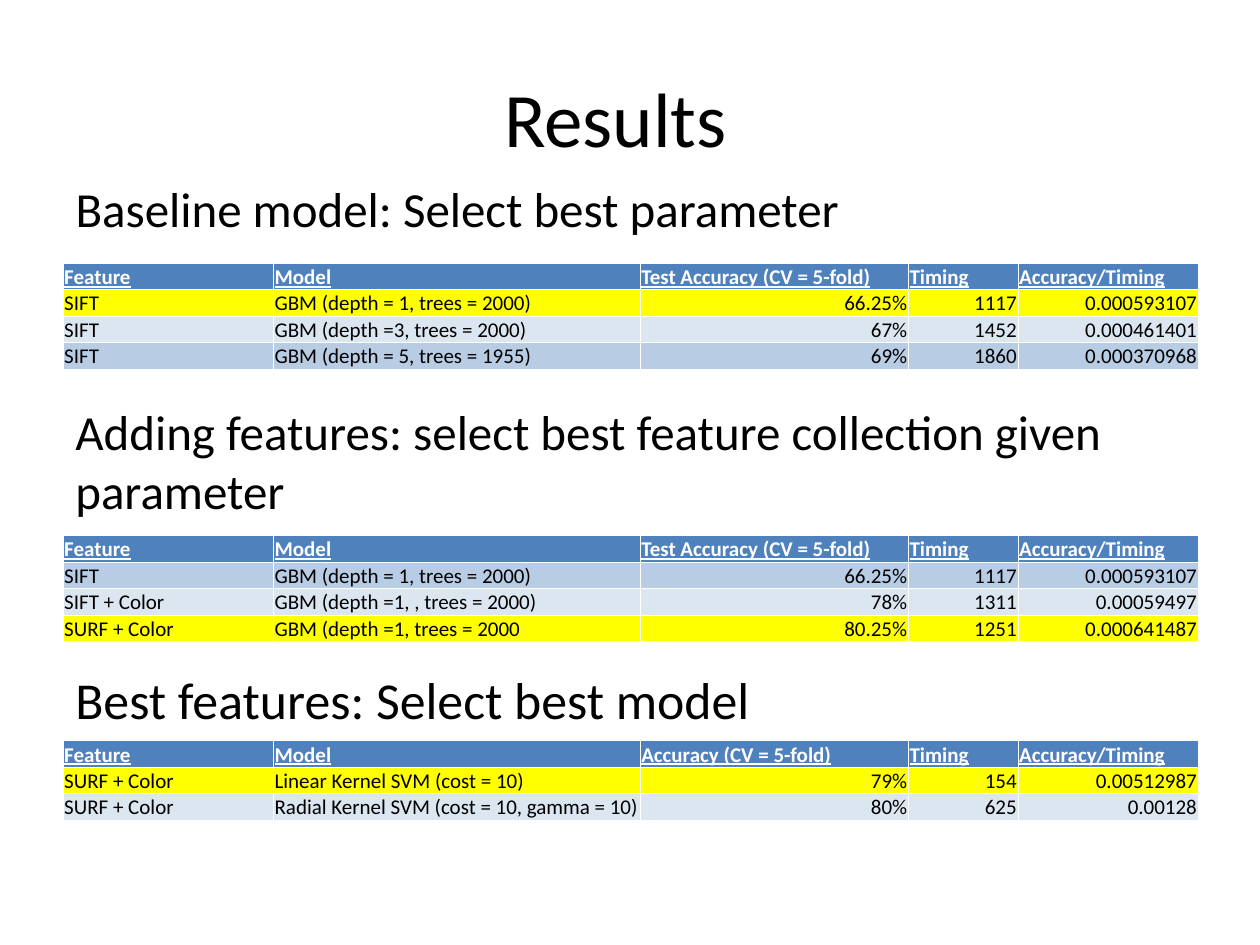
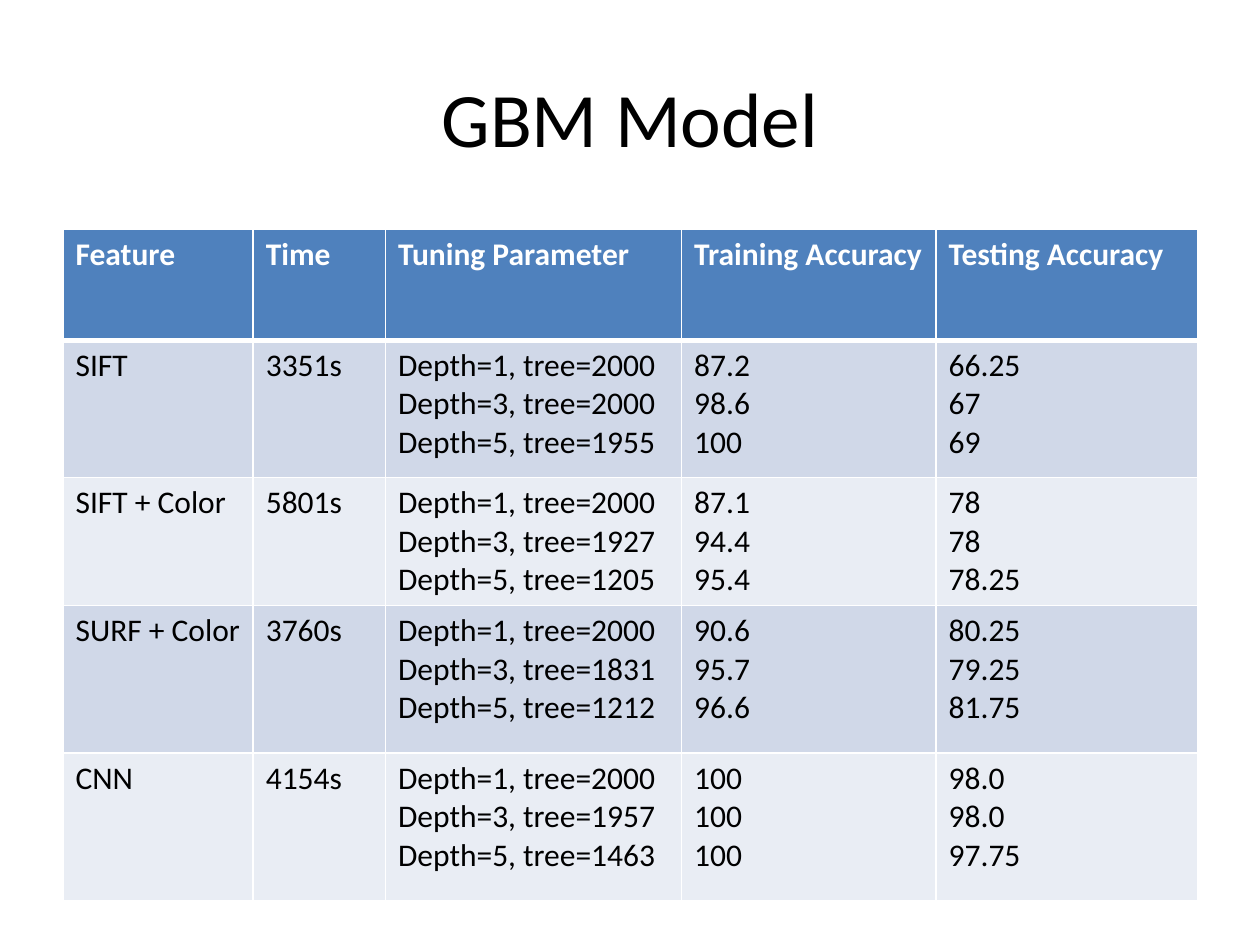
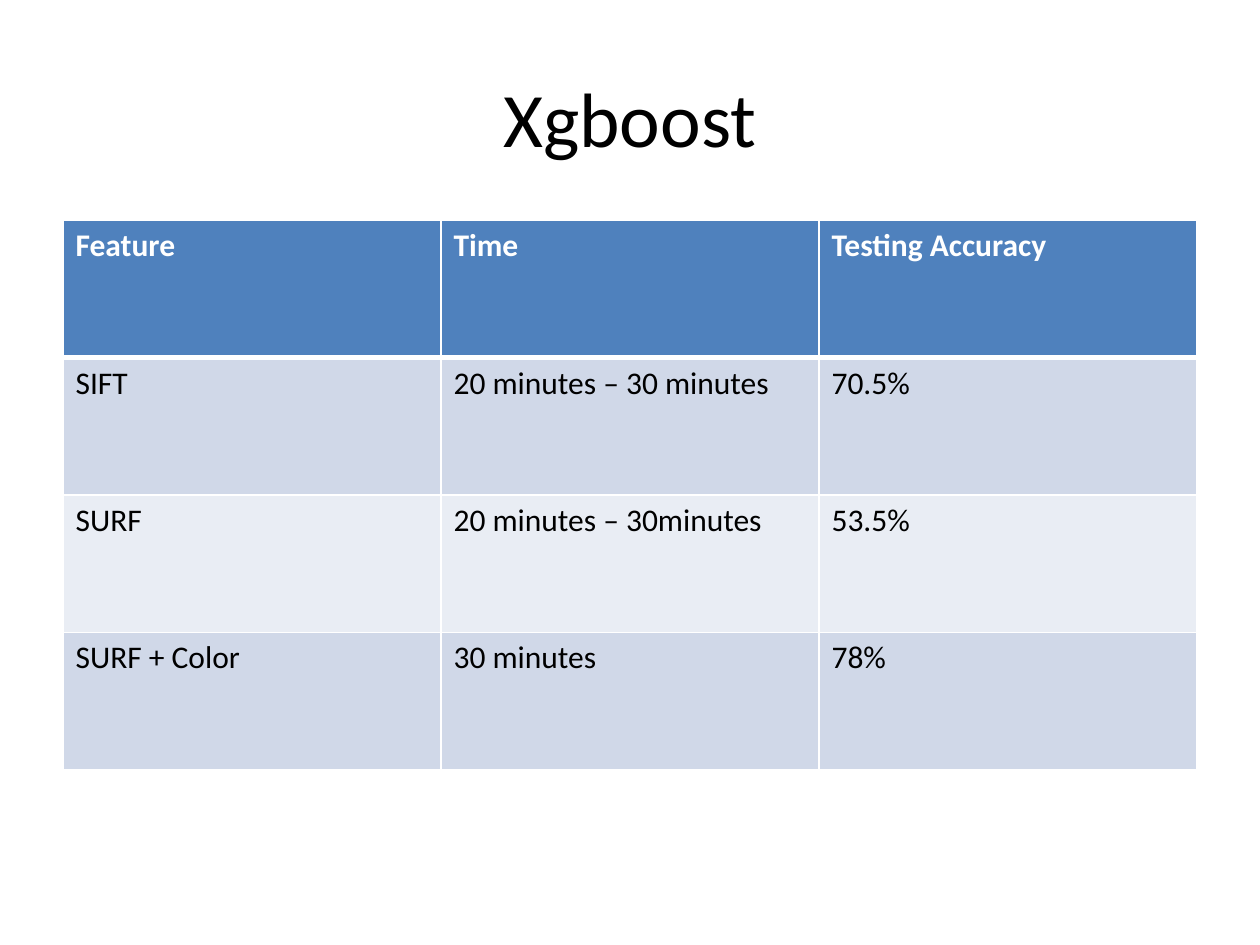
from dataclasses import dataclass

from pptx import Presentation
from pptx.dml.color import RGBColor
from pptx.enum.text import MSO_ANCHOR, MSO_AUTO_SIZE, PP_ALIGN
from pptx.oxml.ns import qn
from pptx.util import Inches, Pt
from lxml.etree import SubElement

WHITE = RGBColor(0xFF, 0xFF, 0xFF)
BLACK = RGBColor(0x00, 0x00, 0x00)
HEADER_BLUE = RGBColor(0x4F, 0x81, 0xBD)
YELLOW = RGBColor(0xFF, 0xFF, 0x00)
PALE_BLUE = RGBColor(0xDC, 0xE6, 0xF1)
MID_BLUE = RGBColor(0xB8, 0xCC, 0xE4)
BAND_DARK = RGBColor(0xD0, 0xD8, 0xE8)
BAND_LIGHT = RGBColor(0xE9, 0xED, 0xF4)

FONT = "Calibri"
LEFT = 0.5
CONTENT_WIDTH = 9
TITLE_AND_CONTENT, TITLE_ONLY = 1, 5


@dataclass
class TableStyle:
    size: int
    border: float
    header_rule: float
    header_underline: bool = False
    compact: bool = False
    first_number_column: int = 99


COMPACT = TableStyle(12, 0.5, 0.5, header_underline=True, compact=True,
                     first_number_column=2)
ROOMY = TableStyle(18, 1, 3)

RESULT_COLUMNS = [1.67, 2.91, 2.13, 0.87, 1.43]
RESULT_ROW = 0.21


def result_header(accuracy):
    return ["Feature", "Model", accuracy, "Timing", "Accuracy/Timing"]


BASELINE_ROWS = [
    result_header("Test Accuracy (CV = 5-fold)"),
    ["SIFT", "GBM (depth = 1, trees = 2000)", "66.25%", "1117", "0.000593107"],
    ["SIFT", "GBM (depth =3, trees = 2000)", "67%", "1452", "0.000461401"],
    ["SIFT", "GBM (depth = 5, trees = 1955)", "69%", "1860", "0.000370968"],
]
FEATURE_ROWS = [
    result_header("Test Accuracy (CV = 5-fold)"),
    ["SIFT", "GBM (depth = 1, trees = 2000)", "66.25%", "1117", "0.000593107"],
    ["SIFT + Color", "GBM (depth =1, , trees = 2000)", "78%", "1311", "0.00059497"],
    ["SURF + Color", "GBM (depth =1, trees = 2000", "80.25%", "1251", "0.000641487"],
]
MODEL_ROWS = [
    result_header("Accuracy (CV = 5-fold)"),
    ["SURF + Color", "Linear Kernel SVM (cost = 10)", "79%", "154", "0.00512987"],
    ["SURF + Color", "Radial Kernel SVM (cost = 10, gamma = 10)", "80%", "625", "0.00128"],
]
GBM_ROWS = [
    ["Feature", "Time", "Tuning Parameter", "Training Accuracy", "Testing Accuracy"],
    ["SIFT", "3351s", "Depth=1, tree=2000\nDepth=3, tree=2000\nDepth=5, tree=1955",
     "87.2\n98.6\n100", "66.25\n67\n69"],
    ["SIFT + Color", "5801s", "Depth=1, tree=2000\nDepth=3, tree=1927\nDepth=5, tree=1205",
     "87.1\n94.4\n95.4", "78\n78\n78.25"],
    ["SURF + Color", "3760s", "Depth=1, tree=2000\nDepth=3, tree=1831\nDepth=5, tree=1212",
     "90.6\n95.7\n96.6", "80.25\n79.25\n81.75"],
    ["CNN", "4154s", "Depth=1, tree=2000\nDepth=3, tree=1957\nDepth=5, tree=1463",
     "100\n100\n100", "98.0\n98.0\n97.75"],
]
XGBOOST_ROWS = [
    ["Feature", "Time", "Testing Accuracy"],
    ["SIFT", "20 minutes – 30 minutes", "70.5%"],
    ["SURF", "20 minutes – 30minutes", "53.5%"],
    ["SURF + Color", "30 minutes", "78%"],
]


def place(shape, top, width, height):
    shape.left, shape.top = Inches(LEFT), Inches(top)
    shape.width, shape.height = Inches(width), Inches(height)


def add_run(para, text, size, color=BLACK, bold=False, underline=False):
    span = para.add_run()
    span.text = text
    span.font.name = FONT
    span.font.size = Pt(size)
    span.font.color.rgb = color
    span.font.bold = bold
    span.font.underline = underline


def add_page(deck, layout, title):
    page = deck.slides.add_slide(deck.slide_layouts[layout])
    box = page.shapes.title
    place(box, 0.3, CONTENT_WIDTH, 1.25)
    box.text_frame.vertical_anchor = MSO_ANCHOR.MIDDLE
    para = box.text_frame.paragraphs[0]
    para.alignment = PP_ALIGN.CENTER
    add_run(para, title, 44)
    return page


def fill_body(page, text, top, height):
    """Use the body placeholder as a heading without a bullet."""
    body = page.placeholders[1]
    place(body, top, CONTENT_WIDTH, height)
    body.text_frame.auto_size = MSO_AUTO_SIZE.NONE
    para = body.text_frame.paragraphs[0]
    add_run(para, text, 28)
    properties = para._p.get_or_add_pPr()
    properties.set("marL", "0")
    properties.set("indent", "0")
    SubElement(properties, qn("a:buNone"))


def add_heading(page, text, top, width, height, size):
    box = page.shapes.add_textbox(0, 0, 0, 0)
    place(box, top, width, height)
    box.text_frame.word_wrap = True
    add_run(box.text_frame.paragraphs[0], text, size)


def set_borders(cell, top, bottom, side):
    properties = cell._tc.get_or_add_tcPr()
    for tag, width in (("lnL", side), ("lnR", side), ("lnT", top), ("lnB", bottom)):
        line = SubElement(properties, qn(f"a:{tag}"), w=str(Pt(width)))
        fill = SubElement(line, qn("a:solidFill"))
        SubElement(fill, qn("a:srgbClr"), val=str(WHITE))


def format_cell(cell, text, row, column, fill, style):
    is_header = row == 0
    set_borders(cell,
                top=style.header_rule if row == 1 else style.border,
                bottom=style.header_rule if is_header else style.border,
                side=style.border)
    cell.fill.solid()
    cell.fill.fore_color.rgb = fill
    if style.compact:
        cell.vertical_anchor = MSO_ANCHOR.BOTTOM
        cell.margin_left = cell.margin_right = cell.margin_top = Inches(0.01)
        cell.margin_bottom = 0
    frame = cell.text_frame
    for index, line in enumerate(text.split("\n")):
        para = frame.add_paragraph() if index else frame.paragraphs[0]
        if not is_header and column >= style.first_number_column:
            para.alignment = PP_ALIGN.RIGHT
        add_run(para, line, style.size, WHITE if is_header else BLACK,
                bold=is_header, underline=is_header and style.header_underline)


def add_grid(page, top, widths, heights, rows, fills, style):
    """Add a table whose header is blue and whose later rows take fills in order."""
    frame = page.shapes.add_table(len(rows), len(widths), Inches(LEFT), Inches(top),
                                  Inches(sum(widths)), Inches(sum(heights)))
    table = frame.table
    table.horz_banding = False
    for column, width in zip(table.columns, widths):
        column.width = Inches(width)
    for line, height in zip(table.rows, heights):
        line.height = Inches(height)
    for r, (texts, fill) in enumerate(zip(rows, [HEADER_BLUE, *fills])):
        for c, text in enumerate(texts):
            format_cell(table.cell(r, c), text, r, c, fill, style)


def add_result_grid(page, top, rows, fills):
    add_grid(page, top, RESULT_COLUMNS, [RESULT_ROW] * len(rows), rows, fills, COMPACT)


def build_results(deck):
    page = add_page(deck, TITLE_AND_CONTENT, "Results\t")
    fill_body(page, "Baseline model: Select best parameter", 1.37, 0.55)
    add_heading(page, "Best features: Select best model", 5.25, CONTENT_WIDTH, 0.55, 29.6)
    add_result_grid(page, 5.88, MODEL_ROWS, [YELLOW, PALE_BLUE])
    add_result_grid(page, 2.09, BASELINE_ROWS, [YELLOW, PALE_BLUE, MID_BLUE])
    add_result_grid(page, 4.25, FEATURE_ROWS, [MID_BLUE, PALE_BLUE, YELLOW])
    add_heading(page, "Adding features: select best feature collection given parameter",
                3.14, 9.27, 1.04, 28)


def build_gbm(deck):
    page = add_page(deck, TITLE_ONLY, "GBM Model")
    add_grid(page, 1.82, [1.51, 1.05, 2.35, 2.02, 2.08], [0.88, 1.09, 1, 1.17, 1.17],
             GBM_ROWS, [BAND_DARK, BAND_LIGHT] * 2, ROOMY)


def build_xgboost(deck):
    page = add_page(deck, TITLE_ONLY, "Xgboost")
    add_grid(page, 1.75, [3] * 3, [1.09] * 4, XGBOOST_ROWS,
             [BAND_DARK, BAND_LIGHT, BAND_DARK], ROOMY)


def main():
    deck = Presentation()
    deck.slide_width, deck.slide_height = Inches(10), Inches(7.5)
    build_results(deck)
    build_gbm(deck)
    build_xgboost(deck)
    deck.save("out.pptx")


if __name__ == "__main__":
    main()
